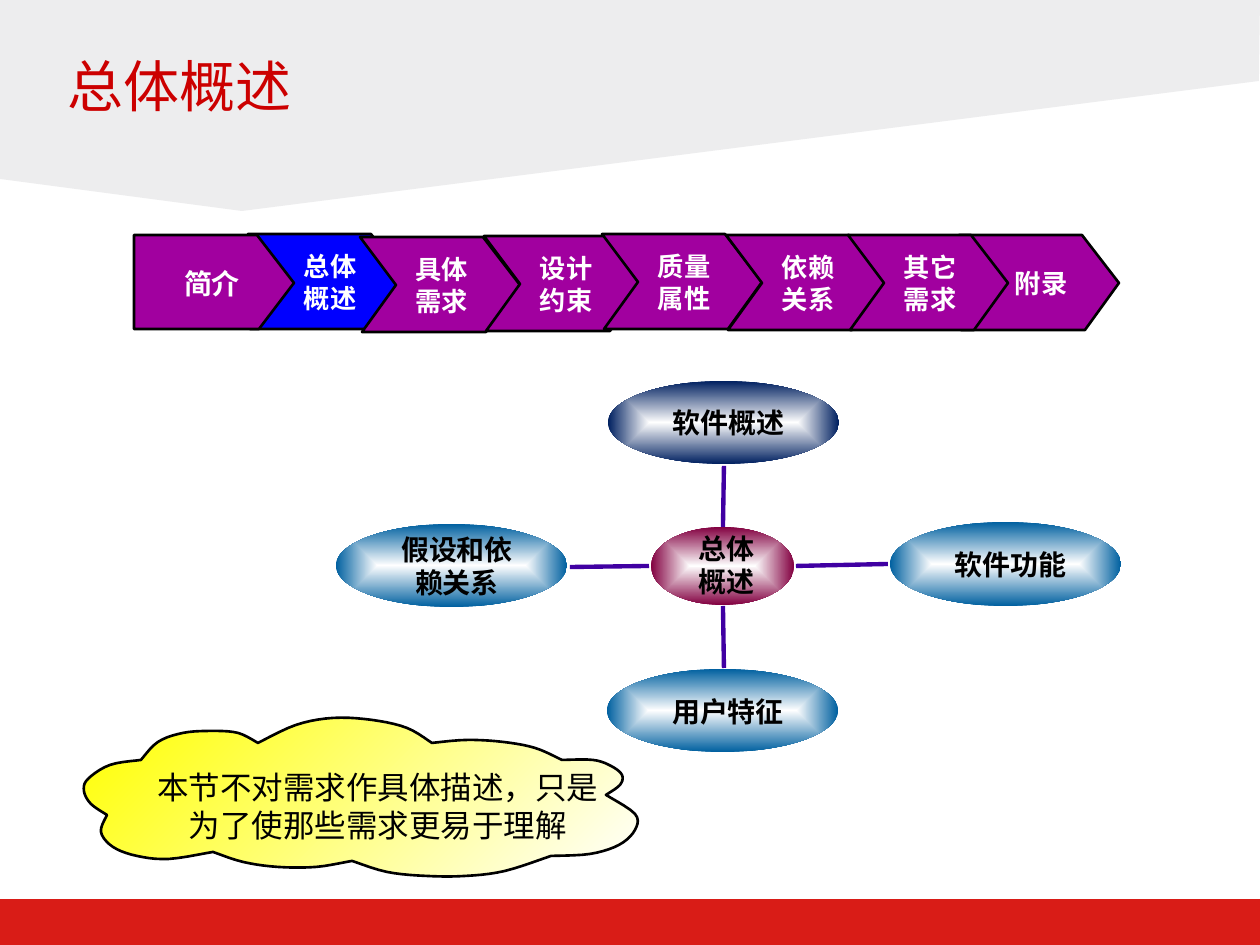
from dataclasses import dataclass

from lxml import etree
from pptx import Presentation
from pptx import util as u
from pptx.dml.color import RGBColor
from pptx.enum import shapes, text
from pptx.oxml.ns import qn

EMU_PER_PX = 914400 / 126


@dataclass(frozen=True)
class Theme:
    cjk: str = "Noto Sans CJK SC"
    serif: str = "Times New Roman"
    red: str = "D91C17"
    grey: str = "EDEDEE"
    heading: str = "CC0000"
    purple: str = "A1009F"
    active: str = "0000FF"
    blue: str = "0060A0"
    navy: str = "002060"
    wine: str = "820040"
    link: str = "4000A2"
    yellow: str = "FFFF00"
    white: str = "FFFFFF"
    black: str = "000000"
    title_size: int = 32
    step_size: int = 15
    node_size: int = 16
    note_size: int = 18


THEME = Theme()

STEPS = [
    ("总体概述", 248, 234),
    ("具体需求", 360, 237),
    ("设计约束", 484, 236),
    ("质量属性", 602, 234),
    ("简介", 134, 235),
    ("附录", 959, 235),
    ("依赖关系", 726, 235),
    ("其它需求", 848, 235),
]
STEP_OUTLINE = [(0, 0), (123, 0), (160, 48), (126, 95), (2, 95), (36, 48)]
FIRST_OUTLINE = [(0, 0), (123, 0), (160, 48), (125, 94), (0, 94)]

NODES = [
    ("假设和依赖关系", (336, 524, 231, 83), (391, 537, 132, 58), THEME.blue),
    ("总体概述", (651, 527, 143, 78), (685, 538, 82, 54), THEME.wine),
    ("软件功能", (890, 522, 231, 84), (945, 535, 131, 59), THEME.blue),
    ("用户特征", (607, 669, 231, 83), (662, 682, 132, 58), THEME.blue),
    ("软件概述", (608, 381, 231, 83), (663, 393, 131, 58), THEME.navy),
]
LINKS = [
    ((649, 566), (570, 567)),
    ((888, 564), (796, 566)),
    ((723, 527), (724, 466)),
    ((723, 606), (724, 668)),
]
CLOUD_LOBES = [
    [(141, 760), (110, 765), (88, 779), (84, 791), (91, 804), (107, 815)],
    [(107, 815), (101, 832), (113, 847), (137, 856), (169, 859), (213, 852)],
    [(213, 852), (243, 862), (278, 867), (316, 867), (352, 861)],
    [(352, 861), (387, 872), (426, 876), (466, 876), (505, 871), (551, 856)],
    [(551, 856), (590, 854), (619, 845), (635, 830), (635, 814), (606, 795)],
    [(606, 795), (620, 785), (622, 775), (611, 766), (593, 760), (562, 760)],
    [(562, 760), (535, 748), (503, 742), (467, 740), (432, 743)],
    [(432, 743), (407, 728), (372, 720), (333, 718), (296, 725), (258, 743)],
    [(258, 743), (238, 733), (212, 731), (183, 733), (158, 742), (141, 760)],
]


def px(value):
    return u.Emu(round(value * EMU_PER_PX))


def rgb(value):
    return RGBColor.from_string(value)


def apply(target, values):
    for name, value in values.items():
        setattr(target, name, value)


def write(box, words, size, color, font, align, anchor, inset=(0, 0), bold=False):
    frame = box.text_frame
    side, end = map(px, inset)
    apply(frame, {
        "word_wrap": True, "auto_size": text.MSO_AUTO_SIZE.NONE,
        "vertical_anchor": anchor, "margin_left": side, "margin_right": side,
        "margin_top": end, "margin_bottom": end,
    })
    para = frame.paragraphs[0]
    para.alignment = align
    span = para.add_run()
    span.text = words
    apply(span.font, {"size": u.Pt(size), "bold": bold, "name": font})
    span.font.color.rgb = rgb(color)
    for props in box.element.iter(qn("a:rPr")):
        etree.SubElement(props, qn("a:ea"), typeface=THEME.cjk)


def add_label(page, words, area, size, color, bold=True):
    box = page.shapes.add_textbox(*map(px, area))
    write(box, words, size, color, THEME.cjk, text.PP_ALIGN.CENTER,
          text.MSO_ANCHOR.MIDDLE, bold=bold)


def paint(shape, color=None, outline=None):
    shape.shadow.inherit = False
    if color:
        shape.fill.solid()
        shape.fill.fore_color.rgb = rgb(color)
    if outline:
        shape.line.color.rgb = rgb(outline)
        shape.line.width = u.Pt(1.5)
    else:
        shape.line.fill.background()


def blend(shape, color):
    shape.fill.gradient()
    for stop, shade, position in zip(shape.fill.gradient_stops, (THEME.white, color), (0, 1)):
        stop.color.rgb = rgb(shade)
        stop.position = position


def radiate(shape):
    gradient = shape.element.spPr.find(qn("a:gradFill"))
    gradient.remove(gradient.find(qn("a:lin")))
    route = etree.SubElement(gradient, qn("a:path"), path="rect")
    sides = dict.fromkeys("ltrb", "50000")
    etree.SubElement(route, qn("a:fillToRect"), sides)


def add_outline(page, points):
    start, *rest = [(px(x), px(y)) for x, y in points]
    builder = page.shapes.build_freeform(*start)
    builder.add_line_segments(rest, close=True)
    return builder.convert_to_shape()


def smooth(points, parts=5):
    padded = [points[0], *points, points[-1]]
    for a, b, c, d in zip(padded, padded[1:], padded[2:], padded[3:]):
        for part in range(parts):
            t = part / parts
            yield tuple(
                (2 * q + (r - p) * t + (2 * p - 5 * q + 4 * r - s) * t ** 2
                 + (3 * q - p - 3 * r + s) * t ** 3) / 2
                for p, q, r, s in zip(a, b, c, d))


def add_backdrop(page):
    band = page.shapes.add_shape(shapes.MSO_SHAPE.RECTANGLE, *map(px, (0, 899, 1260, 46)))
    paint(band, THEME.red)
    corner = add_outline(page, [(0, 0), (1260, 0), (1259, 81), (242, 211), (0, 179)])
    paint(corner, THEME.grey)


def add_title(page, words):
    title = page.shapes.title
    page.shapes.element.append(title.element)
    apply(title, dict(zip(("left", "top", "width", "height"), map(px, (54, 45, 954, 118)))))
    write(title, words, THEME.title_size, THEME.heading, THEME.serif,
          text.PP_ALIGN.LEFT, text.MSO_ANCHOR.TOP, inset=(13, 6))


def add_step(page, words, left, top):
    first = words == "简介"
    outline = FIRST_OUTLINE if first else STEP_OUTLINE
    step = add_outline(page, [(left + x, top + y) for x, y in outline])
    paint(step, THEME.active if words == "总体概述" else THEME.purple, THEME.black)
    size = THEME.node_size if first else THEME.step_size
    add_label(page, words, (left + (42 if first else 46), top + 14, 72, 68), size, THEME.white)


def add_node(page, words, area, label_area, color):
    node = page.shapes.add_shape(shapes.MSO_SHAPE.OVAL, *map(px, area))
    paint(node)
    blend(node, color)
    radiate(node)
    add_label(page, words, label_area, THEME.node_size, THEME.black)


def add_link(page, start, end):
    link = page.shapes.add_connector(shapes.MSO_CONNECTOR.STRAIGHT, *map(px, start + end))
    link.line.color.rgb = rgb(THEME.link)
    link.line.width = u.Pt(2.5)
    etree.SubElement(link.element.spPr, qn("a:effectLst"))


def add_cloud(page, words):
    cloud = add_outline(page, [point for lobe in CLOUD_LOBES for point in smooth(lobe)])
    paint(cloud, outline=THEME.black)
    blend(cloud, THEME.yellow)
    cloud.fill.gradient_angle = 135
    add_label(page, words, (152, 767, 452, 78), THEME.note_size, THEME.black, bold=False)


def main():
    deck = Presentation()
    apply(deck, {"slide_width": px(1260), "slide_height": px(945)})
    page = deck.slides.add_slide(deck.slide_layouts[5])
    add_backdrop(page)
    add_title(page, "总体概述")
    for step in STEPS:
        add_step(page, *step)
    for node in NODES:
        add_node(page, *node)
    for link in LINKS:
        add_link(page, *link)
    add_cloud(page, "本节不对需求作具体描述，只是为了使那些需求更易于理解")
    deck.save("out.pptx")


if __name__ == "__main__":
    main()
